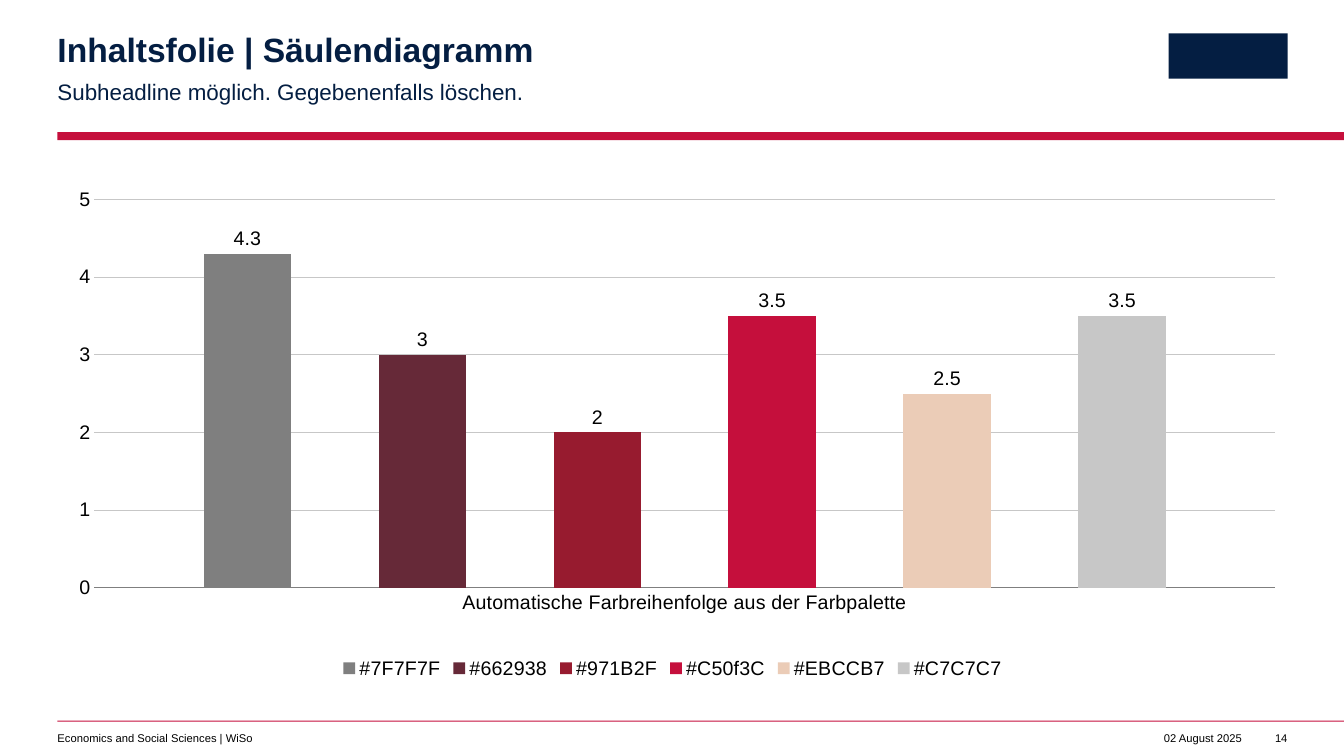
from dataclasses import dataclass

from lxml.etree import SubElement
from pptx import Presentation
from pptx.chart.chart import Chart
from pptx.chart.data import CategoryChartData
from pptx.dml.color import RGBColor
from pptx.enum.chart import XL_CHART_TYPE, XL_LABEL_POSITION, XL_LEGEND_POSITION, XL_TICK_MARK
from pptx.enum.shapes import MSO_SHAPE
from pptx.enum.text import PP_ALIGN
from pptx.oxml.ns import qn
from pptx.slide import Slide
from pptx.text.text import Font
from pptx.util import Inches, Pt

FONT_NAME = "Arial"
BLACK = RGBColor(0x00, 0x00, 0x00)
NAVY = RGBColor(0x04, 0x1E, 0x42)
RED = RGBColor(0xC5, 0x0F, 0x3C)
GREY = RGBColor(0x7F, 0x7F, 0x7F)
LIGHT_GREY = RGBColor(0xC7, 0xC7, 0xC7)
WINE = RGBColor(0x66, 0x29, 0x38)
DARK_RED = RGBColor(0x97, 0x1B, 0x2F)
SAND = RGBColor(0xEB, 0xCC, 0xB7)

MARGIN = 0.57
CONTENT_WIDTH = 12.2
FOOTER_TOP = 7.26


@dataclass(frozen=True)
class Block:
    left: float
    top: float
    width: float
    height: float
    color: RGBColor


@dataclass(frozen=True)
class Label:
    text: str
    left: float
    top: float
    width: float
    height: float
    size: int = 8
    color: RGBColor = BLACK
    bold: bool = False
    align: PP_ALIGN = PP_ALIGN.LEFT
    line_spacing: float = 1.0
    wrap: bool = True


@dataclass(frozen=True)
class Column:
    name: str
    value: float
    color: RGBColor


BLOCKS = [
    Block(MARGIN, 1.31, 12.76, 0.08, RED),
    Block(MARGIN, 7.15, 12.76, 0.01, RED),
    Block(11.59, 0.33, 1.18, 0.45, NAVY),
]
LABELS = [
    Label("Inhaltsfolie | Säulendiagramm", MARGIN, 0.33, 7.49, 0.36, 24, NAVY,
          bold=True, line_spacing=0.9),
    Label("Subheadline möglich. Gegebenenfalls löschen.", MARGIN, 0.75, 7.49, 0.27, 16, NAVY,
          line_spacing=1.1),
    Label("Economics and Social Sciences | WiSo", MARGIN, FOOTER_TOP, 5.98, 0.13),
    Label("02 August 2025", 11.39, FOOTER_TOP, 0.93, 0.13, align=PP_ALIGN.RIGHT, wrap=False),
    Label("14", 12.56, FOOTER_TOP, 0.21, 0.13, align=PP_ALIGN.RIGHT, wrap=False),
]
COLUMNS = [
    Column("#7F7F7F", 4.3, GREY),
    Column("#662938", 3, WINE),
    Column("#971B2F", 2, DARK_RED),
    Column("#C50f3C", 3.5, RED),
    Column("#EBCCB7", 2.5, SAND),
    Column("#C7C7C7", 3.5, LIGHT_GREY),
]
PLOT_LAYOUT = {"x": 0.03, "y": 0.04, "w": 0.96, "h": 0.77}


def style_font(font: Font, size: int, color: RGBColor, bold: bool = False) -> None:
    font.name = FONT_NAME
    font.size = Pt(size)
    font.bold = bold
    font.color.rgb = color


def add_block(page: Slide, block: Block) -> None:
    shape = page.shapes.add_shape(MSO_SHAPE.RECTANGLE, Inches(block.left), Inches(block.top),
                                  Inches(block.width), Inches(block.height))
    shape.shadow.inherit = False
    shape.fill.solid()
    shape.fill.fore_color.rgb = block.color
    shape.line.fill.background()


def add_label(page: Slide, label: Label) -> None:
    box = page.shapes.add_textbox(Inches(label.left), Inches(label.top),
                                  Inches(label.width), Inches(label.height))
    frame = box.text_frame
    frame.margin_left = frame.margin_top = frame.margin_right = frame.margin_bottom = 0
    frame.word_wrap = label.wrap
    frame.text = label.text
    para = frame.paragraphs[0]
    para.alignment = label.align
    para.line_spacing = label.line_spacing
    style_font(para.runs[0].font, label.size, label.color, label.bold)


def set_plot_layout(chart: Chart) -> None:
    """Fix the inner plot area as fractions of the chart frame."""
    plot_area = chart.plots[0]._element.getparent()
    for old_layout in plot_area.findall(qn("c:layout")):
        plot_area.remove(old_layout)
    layout = SubElement(plot_area, qn("c:layout"))
    plot_area.insert(0, layout)
    manual = SubElement(layout, qn("c:manualLayout"))
    settings = {"layoutTarget": "inner", "xMode": "edge", "yMode": "edge", **PLOT_LAYOUT}
    for tag, value in settings.items():
        SubElement(manual, qn(f"c:{tag}")).set("val", str(value))


def style_axes(chart: Chart) -> None:
    for axis in (chart.category_axis, chart.value_axis):
        axis.major_tick_mark = axis.minor_tick_mark = XL_TICK_MARK.NONE
        style_font(axis.tick_labels.font, 14, BLACK)
    category_line = chart.category_axis.format.line
    category_line.color.rgb = GREY
    category_line.width = Pt(0.5)

    value_axis = chart.value_axis
    value_axis.minimum_scale = 0
    value_axis.maximum_scale = 5
    value_axis.major_unit = 1
    value_axis.format.line.fill.background()
    grid_line = value_axis.major_gridlines.format.line
    grid_line.color.rgb = LIGHT_GREY
    grid_line.width = Pt(0.5)


def add_column_chart(page: Slide) -> None:
    chart_data = CategoryChartData()
    chart_data.categories = ["Automatische Farbreihenfolge aus der Farbpalette"]
    for column in COLUMNS:
        chart_data.add_series(column.name, [column.value])
    chart = page.shapes.add_chart(XL_CHART_TYPE.COLUMN_CLUSTERED, Inches(MARGIN), Inches(1.78),
                                  Inches(CONTENT_WIDTH), Inches(5), chart_data).chart
    style_font(chart.font, 14, BLACK)
    chart.has_title = False
    chart.has_legend = True
    chart.legend.position = XL_LEGEND_POSITION.BOTTOM
    chart.legend.include_in_layout = False
    style_font(chart.legend.font, 14, BLACK)

    plot = chart.plots[0]
    plot.vary_by_categories = False
    plot.gap_width = 250
    plot.overlap = -100
    for series, column in zip(plot.series, COLUMNS):
        series.format.fill.solid()
        series.format.fill.fore_color.rgb = column.color
        value_labels = series.data_labels
        value_labels.show_value = True
        value_labels.position = XL_LABEL_POSITION.OUTSIDE_END
        style_font(value_labels.font, 14, BLACK)
    style_axes(chart)
    set_plot_layout(chart)


def main() -> None:
    deck = Presentation()
    deck.slide_width = Inches(13.33)
    deck.slide_height = Inches(7.5)
    page = deck.slides.add_slide(deck.slide_layouts[6])
    for block in BLOCKS:
        add_block(page, block)
    add_column_chart(page)
    for label in LABELS:
        add_label(page, label)
    deck.save("out.pptx")


if __name__ == "__main__":
    main()
